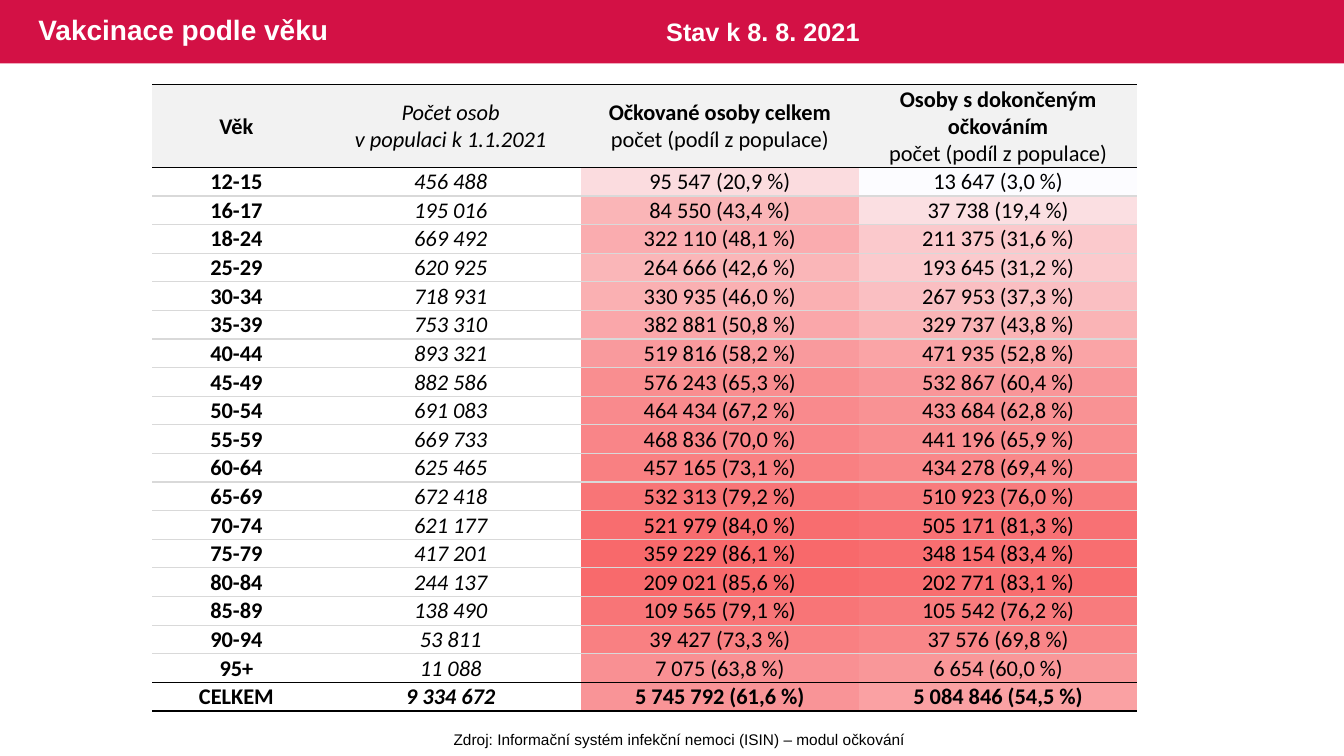
"""Build the slide on vaccination by age group: a heat-shaded table under a red title bar."""
import pptx
import pptx.util
import pptx.dml.color
import pptx.enum.shapes
import pptx.enum.text
import pptx.oxml
import pptx.oxml.ns

Inches = pptx.util.Inches
Pt = pptx.util.Pt
ALIGN = pptx.enum.text.PP_ALIGN
MIDDLE = pptx.enum.text.MSO_ANCHOR.MIDDLE
qn = pptx.oxml.ns.qn
BLACK, GREY, WHITE = "000000", "D9D9D9", "FFFFFF"
NO_STYLE = "{2D5ABB26-0587-4C30-8999-92F81FD0307C}"
ROW_H = 5.4 / 19
HEADER_H = 0.82

header = [
    [("Věk", True)],
    [("Počet osob", False), ("v populaci k 1.1.2021", False)],
    [("Očkované osoby celkem", True), ("počet (podíl z populace)", False)],
    [("Osoby s dokončeným očkováním", True), ("počet (podíl z populace)", False)],
]
ages = [
    ("12-15", "456 488", "95 547 (20,9 %)", "13 647 (3,0 %)"),
    ("16-17", "195 016", "84 550 (43,4 %)", "37 738 (19,4 %)"),
    ("18-24", "669 492", "322 110 (48,1 %)", "211 375 (31,6 %)"),
    ("25-29", "620 925", "264 666 (42,6 %)", "193 645 (31,2 %)"),
    ("30-34", "718 931", "330 935 (46,0 %)", "267 953 (37,3 %)"),
    ("35-39", "753 310", "382 881 (50,8 %)", "329 737 (43,8 %)"),
    ("40-44", "893 321", "519 816 (58,2 %)", "471 935 (52,8 %)"),
    ("45-49", "882 586", "576 243 (65,3 %)", "532 867 (60,4 %)"),
    ("50-54", "691 083", "464 434 (67,2 %)", "433 684 (62,8 %)"),
    ("55-59", "669 733", "468 836 (70,0 %)", "441 196 (65,9 %)"),
    ("60-64", "625 465", "457 165 (73,1 %)", "434 278 (69,4 %)"),
    ("65-69", "672 418", "532 313 (79,2 %)", "510 923 (76,0 %)"),
    ("70-74", "621 177", "521 979 (84,0 %)", "505 171 (81,3 %)"),
    ("75-79", "417 201", "359 229 (86,1 %)", "348 154 (83,4 %)"),
    ("80-84", "244 137", "209 021 (85,6 %)", "202 771 (83,1 %)"),
    ("85-89", "138 490", "109 565 (79,1 %)", "105 542 (76,2 %)"),
    ("90-94", "53 811", "39 427 (73,3 %)", "37 576 (69,8 %)"),
    ("95+", "11 088", "7 075 (63,8 %)", "6 654 (60,0 %)"),
    ("CELKEM", "9 334 672", "5 745 792 (61,6 %)", "5 084 846 (54,5 %)"),
]


def rgb(value):
    return pptx.dml.color.RGBColor.from_string(value)


def plain_table(s, left, top, widths, heights):
    frame = s.shapes.add_table(len(heights), len(widths), Inches(left), Inches(top),
                               Inches(sum(widths)), Inches(sum(heights)))
    table = frame.table
    table.first_row = table.horz_banding = False
    table._tbl.tblPr.find(qn("a:tableStyleId")).text = NO_STYLE
    for column, width in zip(table.columns, widths):
        column.width = Inches(width)
    for row, height in zip(table.rows, heights):
        row.height = Inches(height)
    for cell in table.iter_cells():
        cell.vertical_anchor = MIDDLE
        cell.margin_left = cell.margin_right = cell.margin_top = Inches(0.01)
        cell.margin_bottom = 0
    return table


prs = pptx.Presentation()
prs.slide_width, prs.slide_height = Inches(13.33), Inches(7.5)
s = prs.slides.add_slide(prs.slide_layouts[5])

bar = s.shapes.add_shape(pptx.enum.shapes.MSO_SHAPE.RECTANGLE, 0, 0, prs.slide_width, Inches(0.63))
bar.shadow.inherit = False
bar.fill.solid()
bar.fill.fore_color.rgb = rgb("D31145")
bar.line.fill.background()
bar._element.getparent().insert(2, bar._element)

shading = plain_table(s, 5.76, 0.84 + HEADER_H, [2.76] * 2, [ROW_H] * len(ages))
low, high = (252, 252, 255), (248, 105, 107)
for i, age in enumerate(ages):
    for j, text in enumerate(age[2:]):
        share = float(text.split("(")[1].split()[0].replace(",", "."))
        t = (share - 3.0) / (86.1 - 3.0)
        cell = shading.cell(i, j)
        cell.fill.solid()
        cell.fill.fore_color.rgb = rgb("".join(f"{round(a + (b - a) * t):02X}" for a, b in zip(low, high)))
        end = pptx.oxml.parse_xml(f'<a:endParaRPr {pptx.oxml.ns.nsdecls("a")} sz="1200"/>')
        cell.text_frame.paragraphs[0]._p.append(end)

title = s.shapes.title
status = s.shapes.add_textbox(0, 0, 0, 0)
source = s.shapes.add_textbox(0, 0, 0, 0)
texts = [
    (title, (0.28, 0, 8.13, 0.63), "Vakcinace podle věku", ALIGN.LEFT, True,
     {"size": Pt(20), "bold": True}, WHITE),
    (status, (6.51, 0.11, 2.96, 0.4), "Stav k 8. 8. 2021", ALIGN.LEFT, True,
     {"size": Pt(18), "bold": True}, WHITE),
    (source, (4.39, 7.19, 4.7, 0.29), "Zdroj: Informační systém infekční nemoci (ISIN) – modul očkování",
     ALIGN.CENTER, False, {"size": Pt(11), "bold": False}, BLACK),
]
for sp, box, text, align, wrap, formats, color in texts:
    sp.left, sp.top, sp.width, sp.height = [Inches(v) for v in box]
    tf = sp.text_frame
    tf.word_wrap = wrap
    p = tf.paragraphs[0]
    p.alignment = align
    r = p.add_run()
    r.text = text
    r.font.name = "Arial"
    r.font.color.rgb = rgb(color)
    for name, value in formats.items():
        setattr(r.font, name, value)
title.text_frame.vertical_anchor = MIDDLE
title.text_frame.paragraphs[0].line_spacing = 0.9

table = plain_table(s, 1.51, 0.84, [1.67, 2.58, 2.76, 2.76], [HEADER_H] + [ROW_H] * len(ages))
total = len(ages)
rows = [header] + [[[(text, j == 0 or i == total)] for j, text in enumerate(age)]
                   for i, age in enumerate(ages, 1)]
for i, row in enumerate(rows):
    for j, lines in enumerate(row):
        cell = table.cell(i, j)
        edges = {"lnT": i in (0, 1, total), "lnB": i in (0, total - 1, total)}
        for edge, strong in edges.items():
            cell._tc.get_or_add_tcPr().append(pptx.oxml.parse_xml(
                f'<a:{edge} {pptx.oxml.ns.nsdecls("a")} w="12700"><a:solidFill>'
                f'<a:srgbClr val="{BLACK if strong else GREY}"/></a:solidFill></a:{edge}>'))
        if i == 0:
            cell.fill.solid()
            cell.fill.fore_color.rgb = rgb("F2F2F2")
        else:
            cell.fill.background()
        tf = cell.text_frame
        for k, (text, bold) in enumerate(lines):
            p = tf.add_paragraph() if k else tf.paragraphs[0]
            p.alignment = ALIGN.CENTER
            r = p.add_run()
            r.text = text
            r.font.color.rgb = rgb(BLACK)
            formats = {"name": "Calibri", "size": Pt(16), "bold": bold, "italic": j == 1}
            for name, value in formats.items():
                setattr(r.font, name, value)

prs.save("out.pptx")
